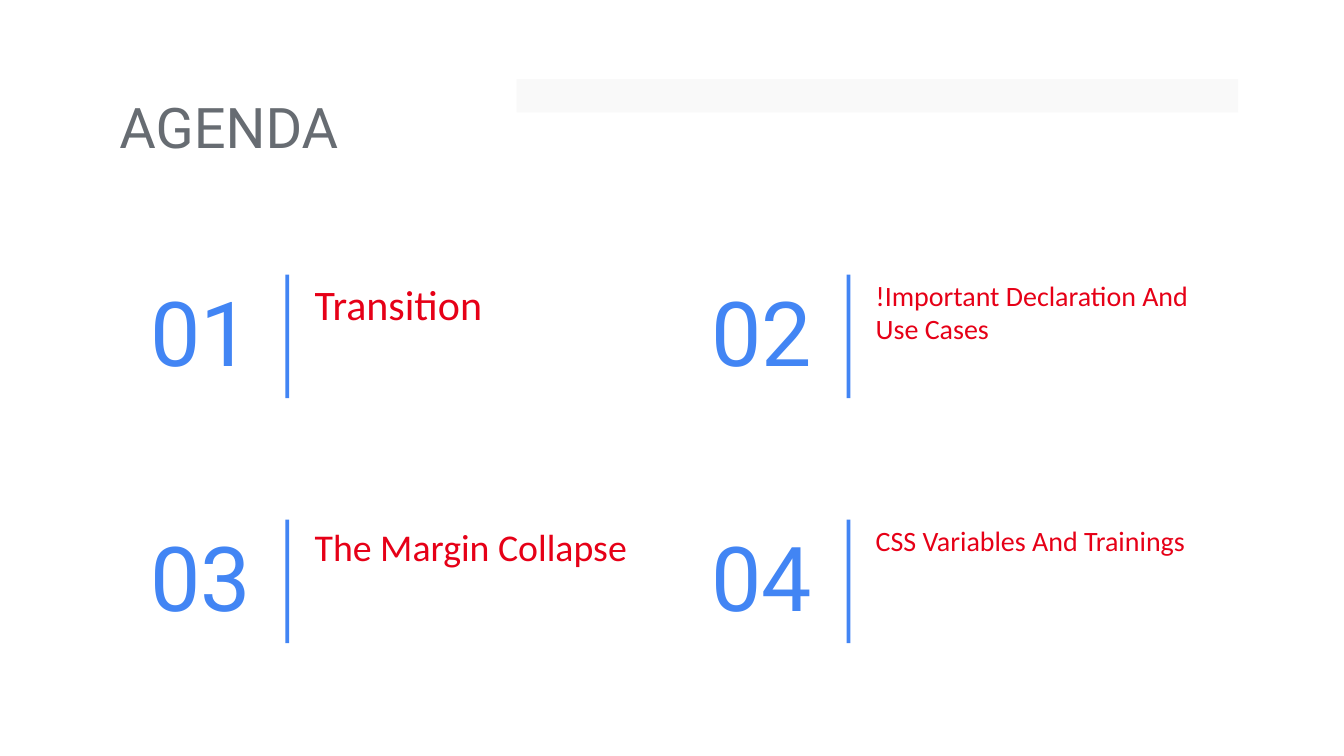
from pptx import Presentation
from pptx.dml.color import RGBColor
from pptx.enum.shapes import MSO_SHAPE
from pptx.enum.text import MSO_ANCHOR, MSO_AUTO_SIZE, PP_ALIGN
from pptx.util import Cm, Pt

BLUE, RED, GREY, PALE = "4285F4", "E60017", "676C72", "F9F9F9"
COLUMN_PITCH, ROW_PITCH = 28.28, 12.35
TOPICS = [
    ("Transition", 60, 17.58, 5.21),
    ("!Important Declaration And Use Cases", 40, 19.56, 5.72),
    ("The Margin Collapse", 54, 18.69, 5.21),
    ("CSS Variables And Trainings", 40, 18.69, 2.49),
]


def color(value):
    return RGBColor.from_string(value)


class AgendaSlide:
    """Holds the agenda style and the slide being built."""

    heading_font = "Roboto"
    body_font = "Calibri"
    inset = Cm(0.69)

    def __init__(self, slide):
        self.slide = slide

    def set_text(self, box, text, size, font, fill, align=PP_ALIGN.LEFT, anchor=MSO_ANCHOR.TOP):
        frame = box.text_frame
        frame.text = text
        frame.word_wrap = True
        frame.auto_size = MSO_AUTO_SIZE.NONE
        frame.vertical_anchor = anchor
        frame.margin_left = frame.margin_right = self.inset
        frame.margin_top = frame.margin_bottom = self.inset
        paragraph = frame.paragraphs[0]
        paragraph.alignment = align
        for run in paragraph.runs:
            run.font.name = font
            run.font.size = Pt(size)
            run.font.color.rgb = color(fill)

    def title(self, text, left, top, width, height):
        heading = self.slide.shapes.title
        heading.left, heading.top = Cm(left), Cm(top)
        heading.width, heading.height = Cm(width), Cm(height)
        self.set_text(heading, text, 80, self.heading_font, GREY)

    def bar(self, left, top, width, height, fill):
        bar = self.slide.shapes.add_shape(
            MSO_SHAPE.RECTANGLE, Cm(left), Cm(top), Cm(width), Cm(height))
        bar.shadow.inherit = False
        bar.fill.solid()
        bar.fill.fore_color.rgb = color(fill)
        bar.line.fill.background()

    def text(self, text, left, top, width, height, *style):
        box = self.slide.shapes.add_textbox(Cm(left), Cm(top), Cm(width), Cm(height))
        self.set_text(box, text, *style)

    def topic(self, index, name, size, width, height):
        row, column = divmod(index, 2)
        left = 6.5 + column * COLUMN_PITCH
        top = 13.84 + row * ROW_PITCH
        self.text(f"{index + 1:02}", left, top, 6.83, 6.22,
                  128, self.heading_font, BLUE, PP_ALIGN.RIGHT, MSO_ANCHOR.BOTTOM)
        self.text(name, left + 8.67, top - 0.5, width, height, size, self.body_font, RED)
        self.bar(left + 7.89, top, 0.19, 6.22, BLUE)


def main():
    deck = Presentation()
    deck.slide_width, deck.slide_height = Cm(67.74), Cm(38.1)
    agenda = AgendaSlide(deck.slides.add_slide(deck.slide_layouts[5]))
    agenda.bar(26.04, 3.99, 36.37, 1.68, PALE)
    agenda.title("AGENDA", 5.33, 3.99, 22.17, 4.24)
    for index, topic in enumerate(TOPICS):
        agenda.topic(index, *topic)
    deck.save("out.pptx")


if __name__ == "__main__":
    main()
